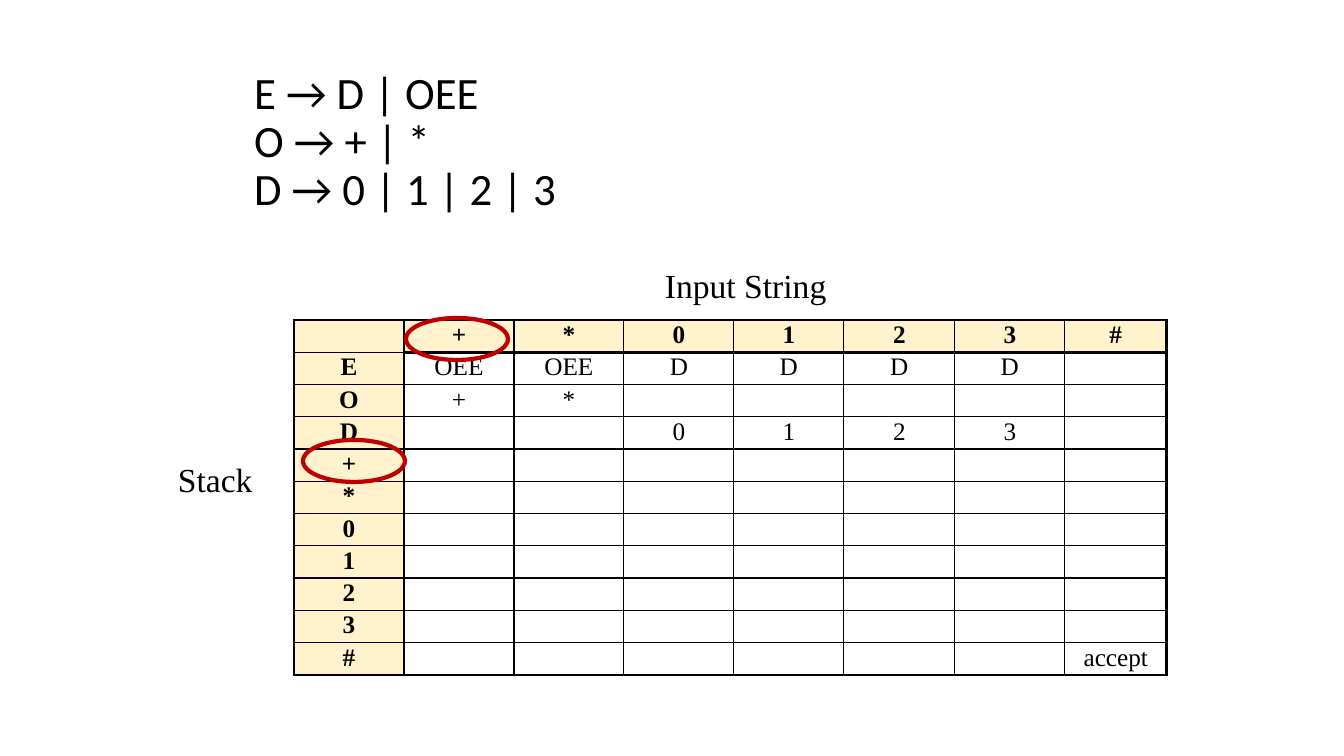
"""Build the parsing table slide for a prefix expression grammar."""
from lxml.etree import SubElement
from pptx import Presentation
from pptx.dml.color import RGBColor
from pptx.enum.shapes import MSO_SHAPE
from pptx.enum.text import MSO_ANCHOR, MSO_AUTO_SIZE, PP_ALIGN
from pptx.oxml.ns import qn
from pptx.util import Pt

GRAMMAR = ["E → D | OEE", "O → + | *", "D → 0 | 1 | 2 | 3"]
INPUTS = ["+", "*", "0", "1", "2", "3", "#"]
STACK = ["E", "O", "D"] + INPUTS
ACTIONS = {
    "E": dict.fromkeys("+*", "OEE") | dict.fromkeys("0123", "D"),
    "O": {c: c for c in "+*"},
    "D": {c: c for c in "0123"},
    "#": {"#": "accept"},
}
LABELS = [("Stack", 168, 454, 126, 50), ("Input String", 655, 260, 219, 50)]
RINGS = [(303, 440), (406, 318)]
RING_W, RING_H = 102, 42

TITLE_BOX = (244, 42, 471, 202)
TABLE_X, TABLE_Y, TABLE_H = 294, 320, 355
COL_WIDTHS = [110] * 5 + [111, 110, 102]
BLACK, CREAM, RED = "000000", "FFF2CC", "C00000"
THIN, THICK = 1, 2.25
SERIF = "Times New Roman"
SCALE = 914400 / 100.8


def px(n):
    return round(n * SCALE)


def rgb(code):
    return RGBColor.from_string(code)


def style(r, **values):
    for name, value in values.items():
        setattr(r.font, name, value)
    r.font.color.rgb = rgb(BLACK)


def set_borders(cell, widths):
    tcPr = cell._tc.get_or_add_tcPr()
    for side in "LRTB":
        ln = SubElement(tcPr, qn(f"a:ln{side}"), w=str(Pt(widths[side])))
        fill = SubElement(ln, qn("a:solidFill"))
        SubElement(fill, qn("a:srgbClr"), val=BLACK)


def border_widths(i, j, last_row, last_col):
    corner = i == 0 and j == 0
    thick = {
        "L": j == 0 or (j == 1 and i > 0),
        "R": j == last_col or (j == 0 and not corner),
        "T": i == 0 or (i == 1 and j > 0),
        "B": i == last_row or (i == 0 and not corner),
    }
    return {side: THICK if on else THIN for side, on in thick.items()}


def add_title(s):
    sp = s.shapes.title
    sp.left, sp.top, sp.width, sp.height = map(px, TITLE_BOX)
    tf = sp.text_frame
    tf.vertical_anchor = MSO_ANCHOR.MIDDLE
    tf.word_wrap = True
    p = tf.paragraphs[0]
    p.text = "\v".join(GRAMMAR)
    p.alignment, p.line_spacing = PP_ALIGN.LEFT, 0.9
    for r in p.runs:
        style(r, name="Calibri", size=Pt(32))
    for br in p._p.findall(qn("a:br")):
        SubElement(br, qn("a:rPr"), sz="3200")


def add_parse_table(s):
    rows = [[""] + INPUTS]
    rows += [[top] + [ACTIONS.get(top, {}).get(c, "") for c in INPUTS] for top in STACK]
    n_rows, n_cols = len(rows), len(COL_WIDTHS)
    table = s.shapes.add_table(n_rows, n_cols, px(TABLE_X), px(TABLE_Y),
                               px(sum(COL_WIDTHS)), px(TABLE_H)).table
    table.first_row = table.horz_banding = False
    for col, width in zip(table.columns, COL_WIDTHS):
        col.width = px(width)
    for i, row in enumerate(rows):
        table.rows[i].height = px(TABLE_H / n_rows)
        for j, text in enumerate(row):
            cell = table.cell(i, j)
            header = i == 0 or j == 0
            cell.margin_top = cell.margin_bottom = px(1 if text else 0)
            set_borders(cell, border_widths(i, j, n_rows - 1, n_cols - 1))
            if header:
                cell.fill.solid()
                cell.fill.fore_color.rgb = rgb(CREAM)
            else:
                cell.fill.background()
            if text:
                p = cell.text_frame.paragraphs[0]
                p.alignment = PP_ALIGN.CENTER
                r = p.add_run()
                r.text = text
                style(r, name=SERIF, size=Pt(18), bold=header)


def add_label(s, text, *box):
    tf = s.shapes.add_textbox(*map(px, box)).text_frame
    tf.word_wrap = True
    tf.auto_size = MSO_AUTO_SIZE.SHAPE_TO_FIT_TEXT
    r = tf.paragraphs[0].add_run()
    r.text = text
    style(r, name=SERIF, size=Pt(24))


def add_ring(s, x, y):
    sp = s.shapes.add_shape(MSO_SHAPE.OVAL, *map(px, (x, y, RING_W, RING_H)))
    sp.shadow.inherit = False
    sp.fill.background()
    sp.line.color.rgb = rgb(RED)
    sp.line.width = Pt(3)


def main():
    prs = Presentation()
    prs.slide_width, prs.slide_height = px(1344), px(756)
    s = prs.slides.add_slide(prs.slide_layouts[5])
    add_title(s)
    add_parse_table(s)
    for label in LABELS:
        add_label(s, *label)
    for ring in RINGS:
        add_ring(s, *ring)
    prs.save("out.pptx")


if __name__ == "__main__":
    main()
